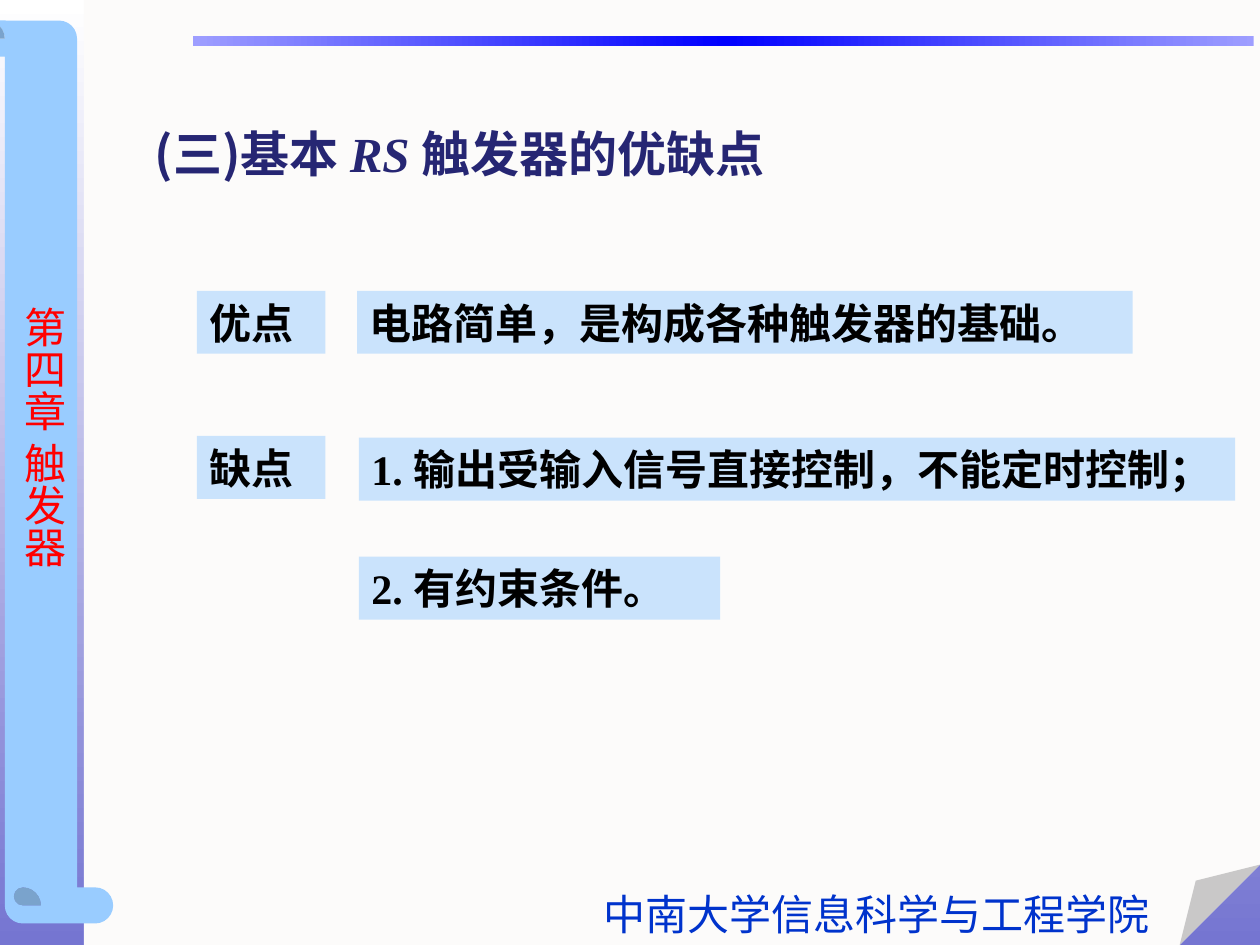
from copy import deepcopy
from pptx import Presentation
from pptx.dml.color import RGBColor
from pptx.enum.shapes import MSO_SHAPE
from pptx.enum.text import MSO_ANCHOR, MSO_AUTO_SIZE, PP_ALIGN
from pptx.oxml.ns import qn
from pptx.oxml.xmlchemy import OxmlElement
from pptx.util import Pt

THEME = {
    "paper": "FCFBFA", "scroll": "99CCFF", "card": "99CCFF", "card_alpha": 50,
    "backdrop": ["FFFFFF", "7575D1"],
    "rule": ["9E9EFF", "0000FF", "9E9EFF"],
    "latin": "Times New Roman", "cjk": "Noto Sans CJK SC",
    "title": {"size": 28, "color": "262673", "bold": True},
    "body": {"size": 24, "color": "000000", "bold": True},
    "school": {"size": 24, "color": "0033CC"},
    "chapter": {"size": 24, "color": "FF0000"},
}

TITLE = [
    ("(三)基本 ", THEME["cjk"], False),
    ("RS ", THEME["latin"], True),
    ("触发器的优缺点", THEME["cjk"], False),
]
SCHOOL = "中南大学信息科学与工程学院"
CHAPTER = "第四章 触发器"

LABEL_LEFT, LABEL_WIDTH, CARD_HEIGHT = 112.5, 73.5, 36
CARDS = [
    ("优点", LABEL_LEFT, 166.2, LABEL_WIDTH),
    ("缺点", LABEL_LEFT, 249.1, LABEL_WIDTH),
    ("电路简单，是构成各种触发器的基础。", 204, 166.2, 443.2),
    ("1. 输出受输入信号直接控制，不能定时控制；", 205.1, 250.1, 500.8),
    ("2. 有约束条件。", 205.1, 318.1, 206.5),
]


def paint_gradient(fill, stop_list, colors, angle):
    fill.gradient_angle = angle
    while len(stop_list) < len(colors):
        stop_list.append(deepcopy(stop_list[-1]))
    for i, (stop, color) in enumerate(zip(fill.gradient_stops, colors)):
        stop.position = i / (len(colors) - 1)
        stop.color.rgb = RGBColor.from_string(color)


def add_block(slide, preset, box, color=None, adjustment=None):
    block = slide.shapes.add_shape(preset, *map(Pt, box))
    block.shadow.inherit = False
    block.line.fill.background()
    if color:
        block.fill.solid()
        block.fill.fore_color.rgb = RGBColor.from_string(color)
    if adjustment is not None:
        guides = next(block._element.iter(qn("a:avLst")))
        for old_guide in list(guides):
            guides.remove(old_guide)
        guide = OxmlElement("a:gd")
        guide.set("name", "adj")
        guide.set("fmla", f"val {round(adjustment * 100000)}")
        guides.append(guide)
    return block


def write(holder, pieces, style, wrap):
    frame = holder.text_frame
    layout = {
        "word_wrap": wrap, "auto_size": MSO_AUTO_SIZE.SHAPE_TO_FIT_TEXT,
        "vertical_anchor": MSO_ANCHOR.TOP,
        "margin_left": Pt(7.2), "margin_right": Pt(7.2),
        "margin_top": Pt(3.6), "margin_bottom": Pt(3.6),
    }
    for name, value in layout.items():
        setattr(frame, name, value)
    paragraph = frame.paragraphs[0]
    paragraph.alignment = PP_ALIGN.LEFT
    for text, face, italic in pieces:
        run = paragraph.add_run()
        run.text = text
        look = {"name": face, "size": Pt(style["size"]),
                "bold": style.get("bold", False), "italic": italic}
        for name, value in look.items():
            setattr(run.font, name, value)
        run.font.color.rgb = RGBColor.from_string(style["color"])
        east_asian = OxmlElement("a:ea")
        east_asian.set("typeface", THEME["cjk"])
        run._r.get_or_add_rPr().find(qn("a:latin")).addnext(east_asian)


def add_label(slide, box, pieces, style, wrap=False):
    label = slide.shapes.add_textbox(*map(Pt, box))
    write(label, pieces, style, wrap)
    return label


def add_frame(slide):
    backdrop = slide.background.fill
    backdrop.gradient()
    paint_gradient(backdrop, next(slide._element.iter(qn("a:gsLst"))), THEME["backdrop"], 270)
    add_block(slide, MSO_SHAPE.FOLDED_CORNER, (48, 0, 672, 540), THEME["paper"], 0.085)
    scroll = add_block(slide, MSO_SHAPE.HORIZONTAL_SCROLL,
                       (-234.6, 228.4, 516, 82.6), THEME["scroll"], 0.25)
    scroll.rotation = 270
    rule = add_block(slide, MSO_SHAPE.RECTANGLE, (110.4, 20.4, 606, 6))
    rule.fill.gradient()
    paint_gradient(rule.fill, next(rule._element.iter(qn("a:gsLst"))), THEME["rule"], 0)
    add_label(slide, (337.6, 504, 326.4, 36), [(SCHOOL, THEME["latin"], False)], THEME["school"])
    chapter = add_label(slide, (0, 168, 43.2, 163.2),
                        [(CHAPTER, THEME["cjk"], False)], THEME["chapter"])
    chapter._element.txBody.find(qn("a:bodyPr")).set("vert", "eaVert")


def add_cards(slide):
    for text, left, top, width in CARDS:
        card = add_block(slide, MSO_SHAPE.RECTANGLE, (left, top, width, CARD_HEIGHT), THEME["card"])
        alpha = OxmlElement("a:alpha")
        alpha.set("val", str(THEME["card_alpha"] * 1000))
        card._element.spPr.find(qn("a:solidFill"))[0].append(alpha)
        write(card, [(text, THEME["latin"], False)], THEME["body"], True)


def main():
    deck = Presentation()
    deck.slide_width, deck.slide_height = Pt(720), Pt(540)
    slide = deck.slides.add_slide(deck.slide_layouts[6])
    add_frame(slide)
    add_label(slide, (81.4, 67, 411.8, 41), TITLE, THEME["title"], True)
    add_cards(slide)
    deck.save("out.pptx")


if __name__ == "__main__":
    main()
